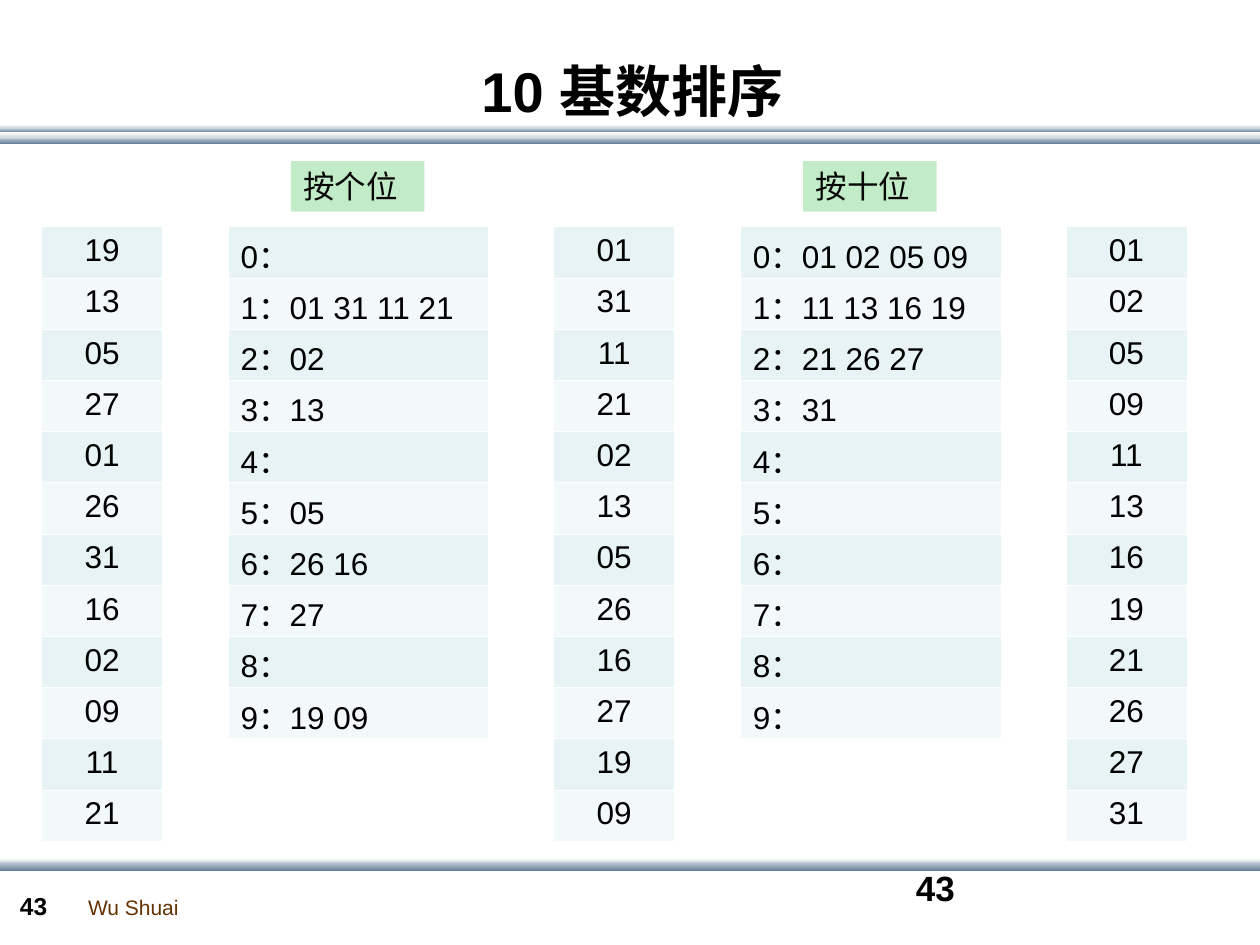
from lxml import etree
from pptx import Presentation
from pptx.dml.color import RGBColor
from pptx.enum.shapes import MSO_SHAPE
from pptx.enum.text import MSO_ANCHOR, PP_ALIGN
from pptx.oxml.ns import qn
from pptx.util import Inches, Pt

RECT = MSO_SHAPE.RECTANGLE
TOP, MIDDLE = MSO_ANCHOR.TOP, MSO_ANCHOR.MIDDLE
LEFT, CENTER = PP_ALIGN.LEFT, PP_ALIGN.CENTER

BLACK = RGBColor(0x00, 0x00, 0x00)
INK = RGBColor(0x08, 0x08, 0x08)
WHITE = RGBColor(0xFF, 0xFF, 0xFF)
BROWN = RGBColor(0x66, 0x33, 0x00)
SILVER = RGBColor(0xC8, 0xD1, 0xDA)
STEEL = RGBColor(0x6A, 0x83, 0x9C)
GREEN = RGBColor(0xC2, 0xEB, 0xC7)
BANDS = (RGBColor(0xE7, 0xF3, 0xF4), RGBColor(0xF3, 0xF9, 0xFA))

LATIN, CJK = "Arial", "Noto Sans CJK SC"
ROW_HEIGHT = Inches(4.88 / 12)
TABLE_TOP = 1.8
STEP = 4.065  # from one sorting pass to the next

# Number order before the first pass and after each pass
ORDERS = (
    "19 13 05 27 01 26 31 16 02 09 11 21",
    "01 31 11 21 02 13 05 26 16 27 19 09",
    "01 02 05 09 11 13 16 19 21 26 27 31",
)
# Each pass: label and the contents of buckets 0 to 9
PASSES = (
    ("按个位", ("", "01 31 11 21", "02", "13", "", "05", "26 16", "27", "", "19 09")),
    ("按十位", ("01 02 05 09", "11 13 16 19", "21 26 27", "31", "", "", "", "", "", "")),
)


def set_text(tf, text, size=18, font=LATIN, color=BLACK, bold=False,
             align=LEFT, anchor=TOP, wrap=True, before=0):
    tf.word_wrap = wrap
    tf.vertical_anchor = anchor
    p = tf.paragraphs[0]
    p.alignment = align
    p.space_before = Pt(before)
    r = p.add_run()
    r.text = text
    r.font.size = Pt(size)
    r.font.name = font
    r.font.bold = bold
    r.font.color.rgb = color
    ea = etree.SubElement(r.font._element, qn("a:ea"))
    ea.set("typeface", CJK)


def add_text(slide, box, text, **fmt):
    tb = slide.shapes.add_textbox(*map(Inches, box))
    set_text(tb.text_frame, text, **fmt)


def add_rect(slide, box):
    sp = slide.shapes.add_shape(RECT, *map(Inches, box))
    sp.shadow.inherit = False
    sp.line.fill.background()
    return sp


def add_bar(slide, top, height, colors):
    fill = add_rect(slide, (0, top, 10.01, height)).fill
    fill.gradient()
    fill.gradient_angle = 270
    for stop, color in zip(fill.gradient_stops, colors):
        stop.color.rgb = color


def set_borders(cell):
    tcPr = cell._tc.get_or_add_tcPr()
    for i, side in enumerate(("lnL", "lnR", "lnT", "lnB")):
        ln = etree.Element(qn("a:" + side), w=str(Pt(0.45)))
        fill = etree.SubElement(ln, qn("a:solidFill"))
        etree.SubElement(fill, qn("a:srgbClr"), val=str(WHITE))
        tcPr.insert(i, ln)


def add_column(slide, left, width, texts, align, margins):
    """One-column banded table; margins are top and bottom."""
    table = slide.shapes.add_table(
        len(texts), 1, Inches(left), Inches(TABLE_TOP), Inches(width),
        ROW_HEIGHT * len(texts)).table
    table.first_row = False
    for i, text in enumerate(texts):
        table.rows[i].height = ROW_HEIGHT
        cell = table.cell(i, 0)
        cell.margin_top, cell.margin_bottom = map(Inches, margins)
        cell.fill.solid()
        cell.fill.fore_color.rgb = BANDS[i % 2]
        set_borders(cell)
        set_text(cell.text_frame, text, align=align)


def add_pass(slide, left, label, buckets):
    sp = add_rect(slide, (left + 0.5, 1.28, 1.06, 0.4))
    sp.fill.solid()
    sp.fill.fore_color.rgb = GREEN
    set_text(sp.text_frame, label, font=CJK, color=INK)
    texts = [f"{digit}：{numbers}" for digit, numbers in enumerate(buckets)]
    # Tight margins leave room for the taller CJK line
    add_column(slide, left, 2.07, texts, LEFT, (0.04, 0))


def add_title(slide, box, text):
    title = slide.shapes.title
    title.left, title.top, title.width, title.height = map(Inches, box)
    set_text(title.text_frame, text, size=32, bold=True, align=CENTER, anchor=MIDDLE)


def add_frame(slide):
    """Rules under the title and above the footer, then the footer."""
    dark, light = (SILVER, STEEL), (WHITE, SILVER)
    for top, height, colors in ((1.09, 0.05, dark), (1.02, 0.03, dark),
                                (1.05, 0.05, light), (0.99, 0.03, light),
                                (6.81, 0.05, light), (6.84, 0.07, dark)):
        add_bar(slide, top, height, colors)
    add_text(slide, (0.6, 7.05, 0.92, 0.3), "Wu Shuai", size=12, color=BROWN, wrap=False)
    add_text(slide, (0.06, 7.02, 0.55, 0.34), "43", size=14, bold=True, before=8.8)
    add_text(slide, (7.17, 6.83, 2.33, 0.5), "43", size=20, bold=True)


def main():
    prs = Presentation()
    prs.slide_width, prs.slide_height = Inches(10), Inches(7.5)
    slide = prs.slides.add_slide(prs.slide_layouts[5])

    add_frame(slide)
    add_title(slide, (0.22, 0.44, 9.6, 0.55), "10 基数排序")
    for i, order in enumerate(ORDERS):
        add_column(slide, 0.33 + i * STEP, 0.96, order.split(), CENTER, (0.05, 0.05))
    for i, (label, buckets) in enumerate(PASSES):
        add_pass(slide, 1.81 + i * STEP, label, buckets)

    prs.save("out.pptx")


if __name__ == "__main__":
    main()
